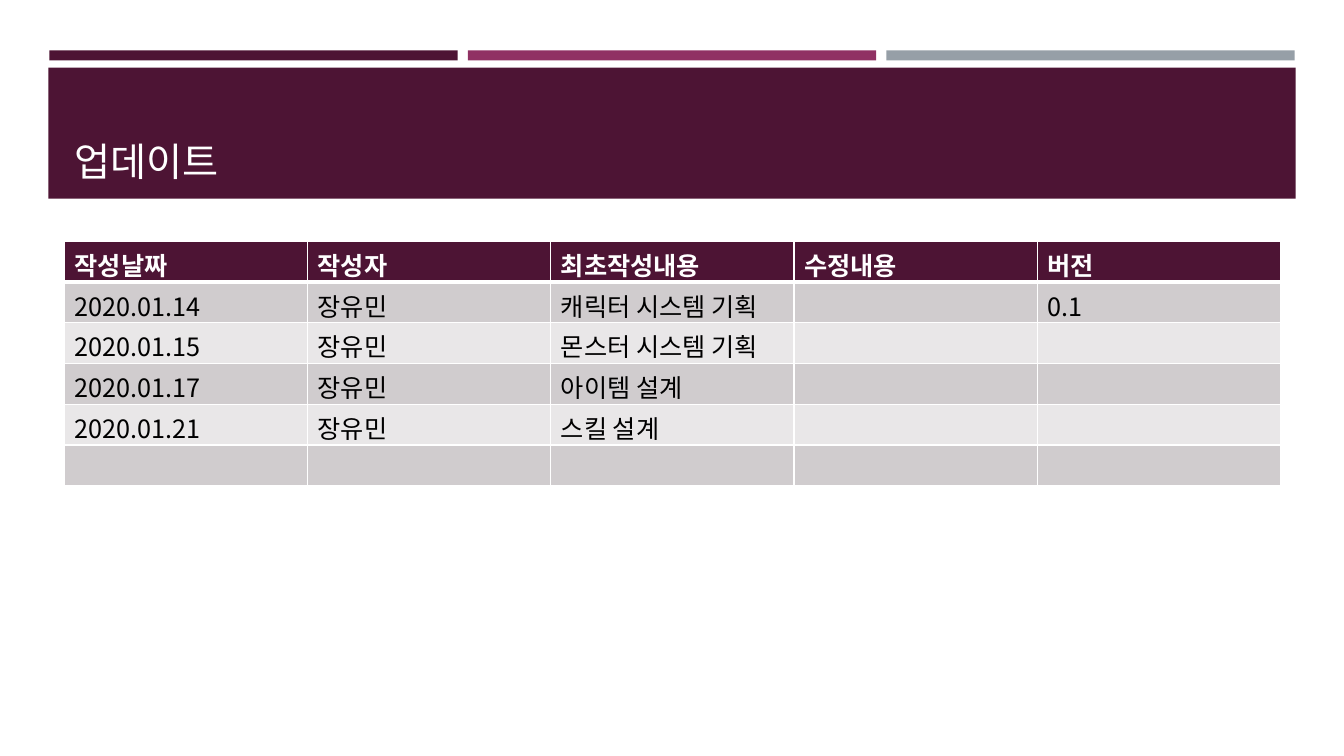
from lxml.etree import SubElement
from pptx import Presentation
from pptx.dml.color import RGBColor
from pptx.enum.shapes import MSO_SHAPE
from pptx.enum.text import MSO_ANCHOR
from pptx.oxml import parse_xml
from pptx.oxml.ns import nsdecls, qn
from pptx.util import Inches, Pt

FONT = "Noto Sans CJK KR"
PLUM, MAGENTA, GREY = "4D1434", "903163", "969FA7"
WHITE, BLACK = "FFFFFF", "000000"
BANDS = ("D0CCCE", "E9E7E8")

ROWS = [
    ("작성날짜", "작성자", "최초작성내용", "수정내용", "버전"),
    ("2020.01.14", "장유민", "캐릭터 시스템 기획", "", "0.1"),
    ("2020.01.15", "장유민", "몬스터 시스템 기획", "", ""),
    ("2020.01.17", "장유민", "아이템 설계", "", ""),
    ("2020.01.21", "장유민", "스킬 설계", "", ""),
    ("", "", "", "", ""),
]


def set_color(fill, color):
    fill.solid()
    fill.fore_color.rgb = RGBColor.from_string(color)


def write(tf, text, size, color, bold=False):
    p = tf.paragraphs[0]
    p.text = text
    p.font.name = FONT
    p.font.size = Pt(size)
    p.font.bold = bold
    set_color(p.font.fill, color)
    # East Asian glyphs take their typeface from a:ea
    SubElement(p._p.pPr.find(qn("a:defRPr")), qn("a:ea"), typeface=FONT)


def add_bar(slide, x, y, w, h, color):
    sp = slide.shapes.add_shape(
        MSO_SHAPE.RECTANGLE, Inches(x), Inches(y), Inches(w), Inches(h))
    sp.shadow.inherit = False
    set_color(sp.fill, color)
    sp.line.fill.background()


def add_title(slide, text):
    box = slide.shapes.add_textbox(
        Inches(0.64), Inches(0.77), Inches(12.06), Inches(1.11))
    tf = box.text_frame
    tf.word_wrap = True
    tf.vertical_anchor = MSO_ANCHOR.BOTTOM
    write(tf, text, 28, WHITE)


def set_borders(cell, widths):
    """Draw white borders; widths are points for left, right, top, bottom."""
    tcPr = cell._tc.get_or_add_tcPr()
    for i, (side, width) in enumerate(zip("LRTB", widths)):
        tcPr.insert(i, parse_xml(
            f'<a:ln{side} {nsdecls("a")} w="{Pt(width)}"><a:solidFill>'
            f'<a:srgbClr val="{WHITE}"/></a:solidFill></a:ln{side}>'))


def add_update_table(slide, rows):
    table = slide.shapes.add_table(
        len(rows), len(rows[0]), Inches(0.64), Inches(2.39),
        Inches(12.06), Inches(2.43)).table
    for r, row in enumerate(rows):
        header = r == 0
        for c, text in enumerate(row):
            cell = table.cell(r, c)
            set_color(cell.fill, PLUM if header else BANDS[(r - 1) % 2])
            set_borders(cell, (1, 1, 3 if r == 1 else 1, 3 if header else 1))
            write(cell.text_frame, text, 18, WHITE if header else BLACK, header)


def main():
    prs = Presentation()
    prs.slide_width, prs.slide_height = Inches(13.33), Inches(7.5)
    slide = prs.slides.add_slide(prs.slide_layouts[6])
    for i, color in enumerate((PLUM, MAGENTA, GREY)):
        add_bar(slide, 0.49 + 4.15 * i, 0.5, 4.05, 0.1, color)
    add_bar(slide, 0.48, 0.67, 12.37, 1.3, PLUM)
    add_title(slide, "업데이트")
    add_update_table(slide, ROWS)
    prs.save("out.pptx")


if __name__ == "__main__":
    main()
